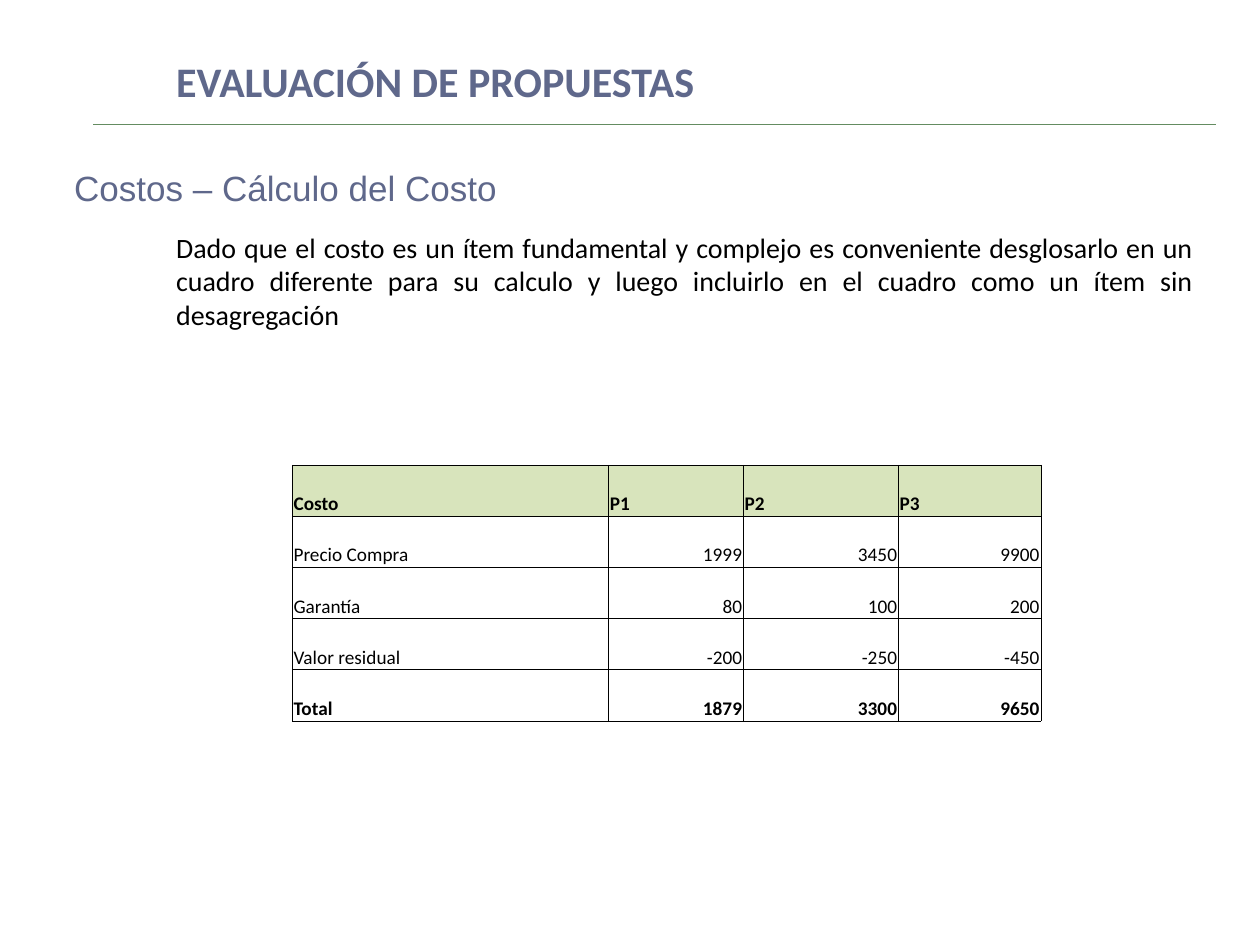
from lxml import etree
from pptx import Presentation
from pptx.dml.color import RGBColor
from pptx.enum.shapes import MSO_CONNECTOR
from pptx.enum.text import MSO_ANCHOR, PP_ALIGN
from pptx.oxml import parse_xml
from pptx.oxml.ns import qn
from pptx.util import Inches, Pt

LEFT, RIGHT, JUST = PP_ALIGN.LEFT, PP_ALIGN.RIGHT, PP_ALIGN.JUSTIFY
TOP, MIDDLE, BOTTOM = MSO_ANCHOR.TOP, MSO_ANCHOR.MIDDLE, MSO_ANCHOR.BOTTOM
STRAIGHT = MSO_CONNECTOR.STRAIGHT
BLACK = RGBColor(0x00, 0x00, 0x00)
SLATE = RGBColor(0x5F, 0x68, 0x8B)
GREEN = RGBColor(0x64, 0x8C, 0x61)
LIME = RGBColor(0xD8, 0xE4, 0xBC)


def put(frame, text, align, color, fmt):
    par = frame.paragraphs[0]
    par.alignment = align
    run = par.add_run()
    run.text = text
    for key, val in fmt.items():
        setattr(run.font, key, val)
    run.font.color.rgb = color
    return par


def edge(cell):
    props = cell._tc.get_or_add_tcPr()
    for side in "LRTB":
        props.append(parse_xml(
            f'<a:ln{side} xmlns:a="http://schemas.openxmlformats.org/drawingml/2006/main" '
            f'w="{Pt(0.23)}"><a:solidFill><a:srgbClr val="{BLACK}"/></a:solidFill></a:ln{side}>'))


prs = Presentation()
prs.slide_width, prs.slide_height = Inches(10), Inches(7.5)
slide = prs.slides.add_slide(prs.slide_layouts[6])
shapes = slide.shapes

texts = [
    ((1.3, 1.78, 8.27, 0.9),
     "Dado que el costo es un ítem fundamental y complejo es conveniente desglosarlo en un "
     "cuadro diferente para su calculo y luego incluirlo en el cuadro como un ítem sin desagregación",
     JUST, TOP, BLACK, {"name": "Calibri", "size": Pt(16)}),
    ((1.3, 0.13, 7.58, 1.02), "EVALUACIÓN DE PROPUESTAS",
     LEFT, MIDDLE, SLATE, {"name": "Calibri", "size": Pt(24), "bold": True}),
    ((0.49, 1.27, 4.89, 0.44), "Costos – Cálculo del Costo",
     LEFT, TOP, SLATE, {"name": "Arial", "size": Pt(20)}),
]
for place, text, align, anchor, color, fmt in texts:
    frame = shapes.add_textbox(*map(Inches, place)).text_frame
    frame.word_wrap = True
    frame.vertical_anchor = anchor
    put(frame, text, align, color, fmt)

rule = shapes.add_connector(STRAIGHT, Inches(0.74), Inches(0.99), Inches(9.65), Inches(0.99))
rule.line.color.rgb = GREEN
rule.line.width = Pt(0.75)
etree.SubElement(rule._element.spPr, qn("a:effectLst"))

rows = [
    ("Costo", "P1", "P2", "P3"),
    ("Precio Compra", "1999", "3450", "9900"),
    ("Garantía", "80", "100", "200"),
    ("Valor residual", "-200", "-250", "-450"),
    ("Total", "1879", "3300", "9650"),
]
widths = [2.51, 1.07, 1.23, 1.13]
table = shapes.add_table(len(rows), len(widths), Inches(2.32), Inches(3.69),
                         Inches(sum(widths)), Inches(2.03)).table
for col, width in zip(table.columns, widths):
    col.width = Inches(width)
pad = {"margin_left": Inches(0.01), "margin_right": Inches(0.01),
       "margin_top": Inches(0.01), "margin_bottom": 0, "vertical_anchor": BOTTOM}
last = len(rows) - 1
for r, row in enumerate(rows):
    for c, text in enumerate(row):
        cell = table.cell(r, c)
        for key, val in pad.items():
            setattr(cell, key, val)
        edge(cell)
        if r == 0:
            cell.fill.solid()
            cell.fill.fore_color.rgb = LIME
        else:
            cell.fill.background()
        align = RIGHT if r and c else LEFT
        par = put(cell.text_frame, text, align, BLACK,
                  {"name": "Calibri", "size": Pt(11), "bold": r in (0, last)})
        par.line_spacing = 1.02

prs.save("out.pptx")
